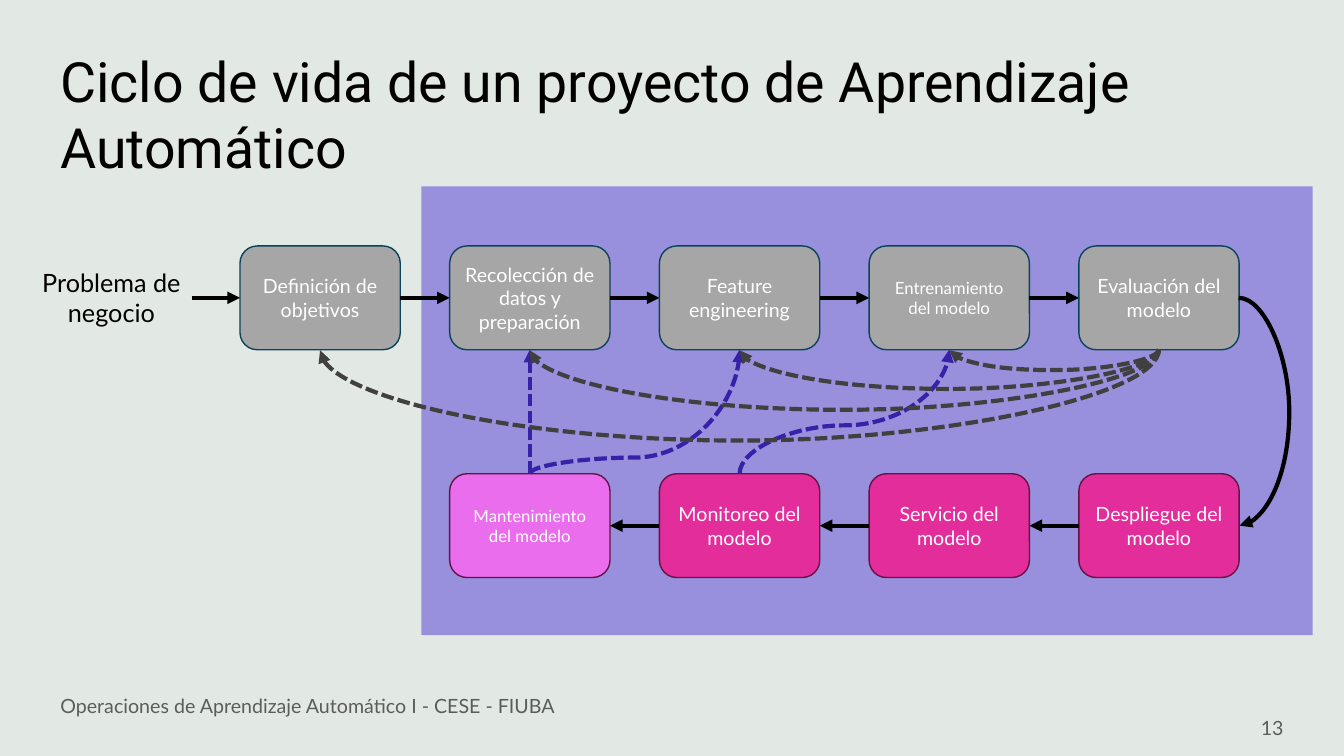
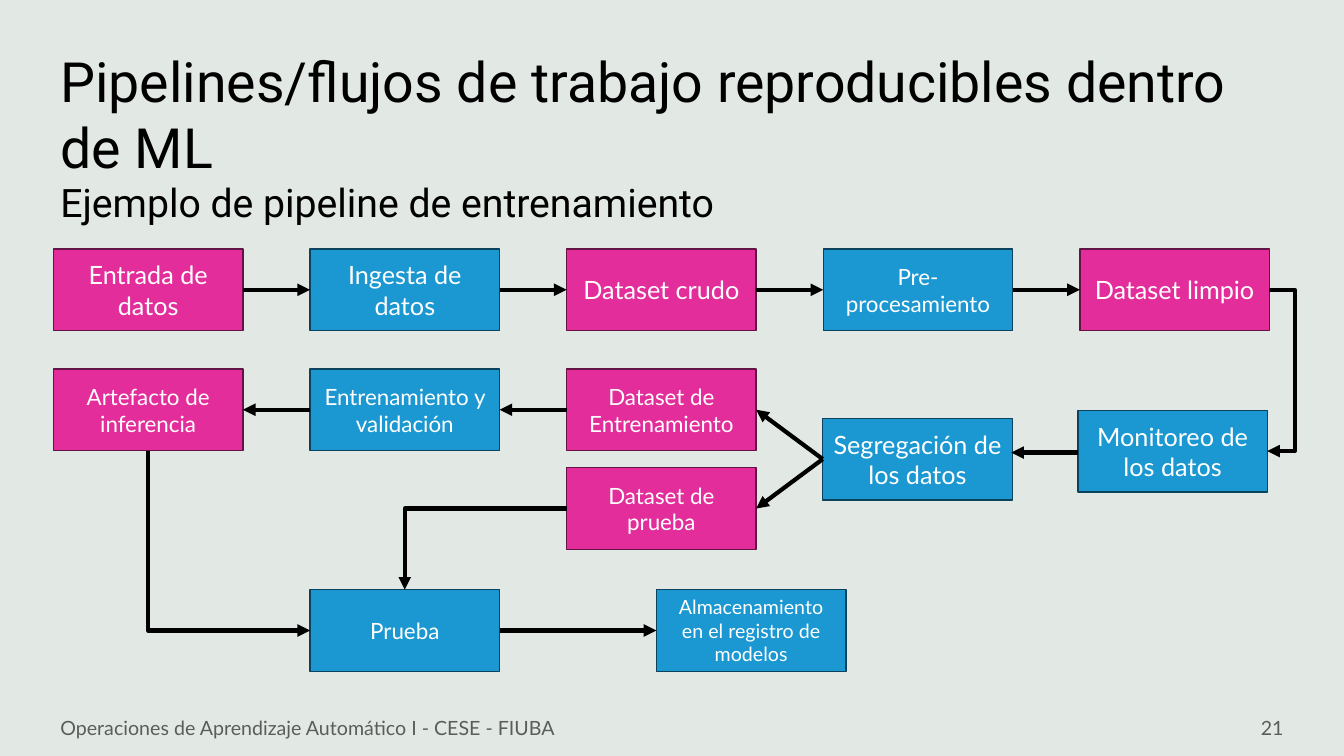
from dataclasses import dataclass

from lxml import etree
from pptx import Presentation
from pptx.dml.color import RGBColor
from pptx.enum import dml, shapes, text
from pptx.oxml import ns
from pptx.util import Inches, Pt

TOP, LEFT, BOTTOM, RIGHT = range(4)
MIN_SPAN = Inches(0.01)
FOOTER = "Operaciones de Aprendizaje Automático I - CESE - FIUBA"


@dataclass(frozen=True)
class Theme:
    background: str = "E2E8E4"
    zone: str = "988FDD"
    ink: str = "000000"
    muted: str = "5A5D5B"
    white: str = "FFFFFF"
    grey: str = "A6A6A6"
    blue: str = "1B98D1"
    pink: str = "E32D9B"
    orchid: str = "E96DEC"
    navy: str = "0C435C"
    plum: str = "631444"
    feedback: str = "404040"
    upkeep: str = "3622A7"
    heading_font: str = "Roboto"
    body_font: str = "Lato"
    title_size: float = 39.6
    subtitle_size: float = 28
    large: float = 18
    medium: float = 16
    small: float = 14
    tiny: float = 12


THEME = Theme()


def rgb(color):
    return RGBColor.from_string(color)


def write(shape, words, *, size=THEME.small, color=THEME.ink, font=THEME.body_font,
          align=text.PP_ALIGN.LEFT, anchor=text.MSO_ANCHOR.MIDDLE, spacing=None):
    frame = shape.text_frame
    frame.word_wrap = True
    frame.vertical_anchor = anchor
    paragraph = frame.paragraphs[0]
    paragraph.text = words
    paragraph.alignment = align
    if spacing:
        paragraph.line_spacing = spacing
    paragraph.font.name = font
    paragraph.font.size = Pt(size)
    paragraph.font.color.rgb = rgb(color)


class Deck:
    def __init__(self, theme):
        self.theme = theme
        self.file = Presentation()
        self.file.slide_width = Inches(13.33)
        self.file.slide_height = Inches(7.5)
        self.slide = None

    def start(self, title, number, footer_top):
        theme = self.theme
        self.slide = self.file.slides.add_slide(self.file.slide_layouts[6])
        self.slide.background.fill.solid()
        self.slide.background.fill.fore_color.rgb = rgb(theme.background)
        self.label(title, 0.5, 0.4, 11.92, 1.45,
                   size=theme.title_size, font=theme.heading_font)
        self.label(number, 9.83, 7.02, 3, 0.4,
                   color=theme.muted, align=text.PP_ALIGN.RIGHT)
        self.label(FOOTER, 0.5, footer_top, 6.51, 0.4, color=theme.muted)

    def label(self, words, left, top, width, height, **style):
        label = self.slide.shapes.add_textbox(*map(Inches, (left, top, width, height)))
        write(label, words, **style)
        return label

    def block(self, left, top, width, height, fill, outline=None,
              kind=shapes.MSO_SHAPE.RECTANGLE):
        block = self.slide.shapes.add_shape(
            kind, *map(Inches, (left, top, width, height)))
        block.shadow.inherit = False
        block.fill.solid()
        block.fill.fore_color.rgb = rgb(fill)
        if outline:
            block.line.color.rgb = rgb(outline)
            block.line.width = Pt(1)
        else:
            block.line.fill.background()
        return block

    def step(self, words, left, top, width, height, fill, size, **shape):
        theme = self.theme
        outline = theme.navy if fill in (theme.grey, theme.blue) else theme.plum
        step = self.block(left, top, width, height, fill, outline, **shape)
        write(step, words, size=size, color=theme.white, align=text.PP_ALIGN.CENTER)
        return step

    def arrow(self, start=(0, 0), end=(0, 0), color=None, dashed=False,
              kind=shapes.MSO_CONNECTOR.STRAIGHT):
        arrow = self.slide.shapes.add_connector(kind, *map(Inches, (*start, *end)))
        arrow.line.color.rgb = rgb(color or self.theme.ink)
        arrow.line.width = Pt(3)
        if dashed:
            arrow.line.dash_style = dml.MSO_LINE.SQUARE_DOT
        outline = arrow.line._get_or_add_ln()
        etree.SubElement(outline, ns.qn("a:tailEnd"), type="triangle")
        etree.SubElement(arrow._element.spPr, ns.qn("a:effectLst"))
        return arrow

    def link(self, source, target, exit_side=RIGHT, entry_side=LEFT, **style):
        arrow = self.arrow(**style)
        arrow.begin_connect(source, exit_side)
        arrow.end_connect(target, entry_side)
        return arrow

    def route(self, source, target, exit_side, entry_side, via=None,
              kind=shapes.MSO_CONNECTOR.CURVE, **style):
        arrow = self.link(source, target, exit_side, entry_side, kind=kind, **style)
        x1, y1, x2, y2 = arrow.begin_x, arrow.begin_y, arrow.end_x, arrow.end_y
        upright = exit_side in (TOP, BOTTOM)
        run = (y2 - y1 if upright else x2 - x1) or MIN_SPAN
        rise = x1 - x2 if upright else y2 - y1
        width, height = abs(run), abs(rise)
        arrow.left = (x1 + x2 - width) // 2
        arrow.top = (y1 + y2 - height) // 2
        arrow.width, arrow.height = width, height
        properties = arrow._element.spPr
        frame = properties.find(ns.qn("a:xfrm"))
        frame.set("rot", "5400000" if upright else "0")
        frame.set("flipH", str(int(run < 0)))
        frame.set("flipV", str(int(rise < 0)))
        geometry = properties.find(ns.qn("a:prstGeom"))
        if via is None:
            geometry.set("prst", "bentConnector2")
        else:
            bend = (Inches(via) - (y1 if upright else x1)) / run
            guides = geometry.find(ns.qn("a:avLst"))
            etree.SubElement(guides, ns.qn("a:gd"), name="adj1",
                             fmla=f"val {round(bend * 100000)}")


def chain(deck, steps, **sides):
    for source, target in zip(steps, steps[1:]):
        deck.link(source, target, **sides)


def lifecycle(deck):
    theme = deck.theme
    deck.start("Ciclo de vida de un proyecto de Aprendizaje Automático", "13", 6.8)
    deck.block(4.18, 1.85, 8.84, 4.45, theme.zone)
    problem = deck.label("Problema de negocio", 0.31, 2.6, 1.59, 0.71, size=theme.large,
                         align=text.PP_ALIGN.CENTER, anchor=text.MSO_ANCHOR.TOP)

    def row(top, first, stages):
        return [deck.step(words, 2.38 + 2.08 * column, top, 1.59, 1.03, fill, size,
                          kind=shapes.MSO_SHAPE.ROUNDED_RECTANGLE)
                for column, (words, fill, size) in enumerate(stages, first)]

    development = row(2.44, 0, [
        ("Definición de objetivos", theme.grey, theme.small),
        ("Recolección de datos y preparación", theme.grey, theme.small),
        ("Feature engineering", theme.grey, theme.small),
        ("Entrenamiento del modelo", theme.grey, theme.tiny),
        ("Evaluación del modelo", theme.grey, theme.small),
    ])
    operation = row(4.7, 1, [
        ("Mantenimiento del modelo", theme.orchid, theme.tiny),
        ("Monitoreo del modelo", theme.pink, theme.small),
        ("Servicio del modelo", theme.pink, theme.small),
        ("Despliegue del modelo", theme.pink, theme.small),
    ])
    goals, collection, features, training, evaluation = development
    upkeep, monitoring, _, release = operation

    chain(deck, [problem, *development])
    chain(deck, operation[::-1], exit_side=LEFT, entry_side=RIGHT)
    deck.route(evaluation, release, RIGHT, RIGHT, 12.8)
    deck.link(upkeep, collection, TOP, BOTTOM, color=theme.upkeep, dashed=True)
    for source, target, via in ((upkeep, features, 4.54), (monitoring, training, 4.22)):
        deck.route(source, target, TOP, BOTTOM, via, color=theme.upkeep, dashed=True)
    for target, via in ((goals, 4.39), (collection, 4.08),
                        (training, 3.68), (features, 3.87)):
        deck.route(evaluation, target, BOTTOM, BOTTOM, via,
                   color=theme.feedback, dashed=True)


def training_pipeline(deck):
    theme = deck.theme
    deck.start("Pipelines/flujos de trabajo reproducibles dentro de ML", "21", 7.02)
    deck.label("Ejemplo de pipeline de entrenamiento", 0.5, 1.76, 11.92, 0.55,
               size=theme.subtitle_size, font=theme.heading_font, spacing=0.9)
    columns = [0.53 + 2.545 * index for index in range(5)]
    upper, middle, lower, last = 2.47, 3.66, 4.64, 5.85

    def data(words, left, top, size=theme.large):
        return deck.step(words, left, top, 1.88, 0.81, theme.pink, size)

    def task(words, left, top, size=theme.large):
        return deck.step(words, left, top, 1.88, 0.81, theme.blue, size)

    source = data("Entrada de datos", columns[0], upper)
    ingestion = task("Ingesta de datos", columns[1], upper)
    raw = data("Dataset crudo", columns[2], upper)
    cleaning = task("Pre-procesamiento", columns[3], upper, theme.medium)
    clean = data("Dataset limpio", columns[4], upper)
    monitoring = task("Monitoreo de los datos", 10.69, 4.07)
    split = task("Segregación de los datos", 8.16, (middle + lower) / 2)
    train_set = data("Dataset de Entrenamiento", columns[2], middle, theme.medium)
    test_set = data("Dataset de prueba", columns[2], lower, theme.medium)
    fitting = task("Entrenamiento y validación", columns[1], middle, theme.medium)
    artifact = data("Artefacto de inferencia", columns[0], middle, theme.medium)
    test = task("Prueba", columns[1], last, theme.medium)
    registry = task("Almacenamiento en el registro de modelos", 6.51, last, theme.small)

    chain(deck, [source, ingestion, raw, cleaning, clean])
    chain(deck, [split, train_set, fitting, artifact], exit_side=LEFT, entry_side=RIGHT)
    deck.link(split, test_set, LEFT, RIGHT)
    deck.link(test, registry)
    deck.arrow((10.69, 4.49), (10.03, 4.49))
    elbow = shapes.MSO_CONNECTOR.ELBOW
    deck.route(clean, monitoring, RIGHT, RIGHT, 12.84, kind=elbow)
    deck.route(artifact, test, BOTTOM, LEFT, kind=elbow)
    deck.route(test_set, test, LEFT, TOP, kind=elbow)


def main():
    deck = Deck(THEME)
    lifecycle(deck)
    training_pipeline(deck)
    deck.file.save("out.pptx")


if __name__ == "__main__":
    main()
